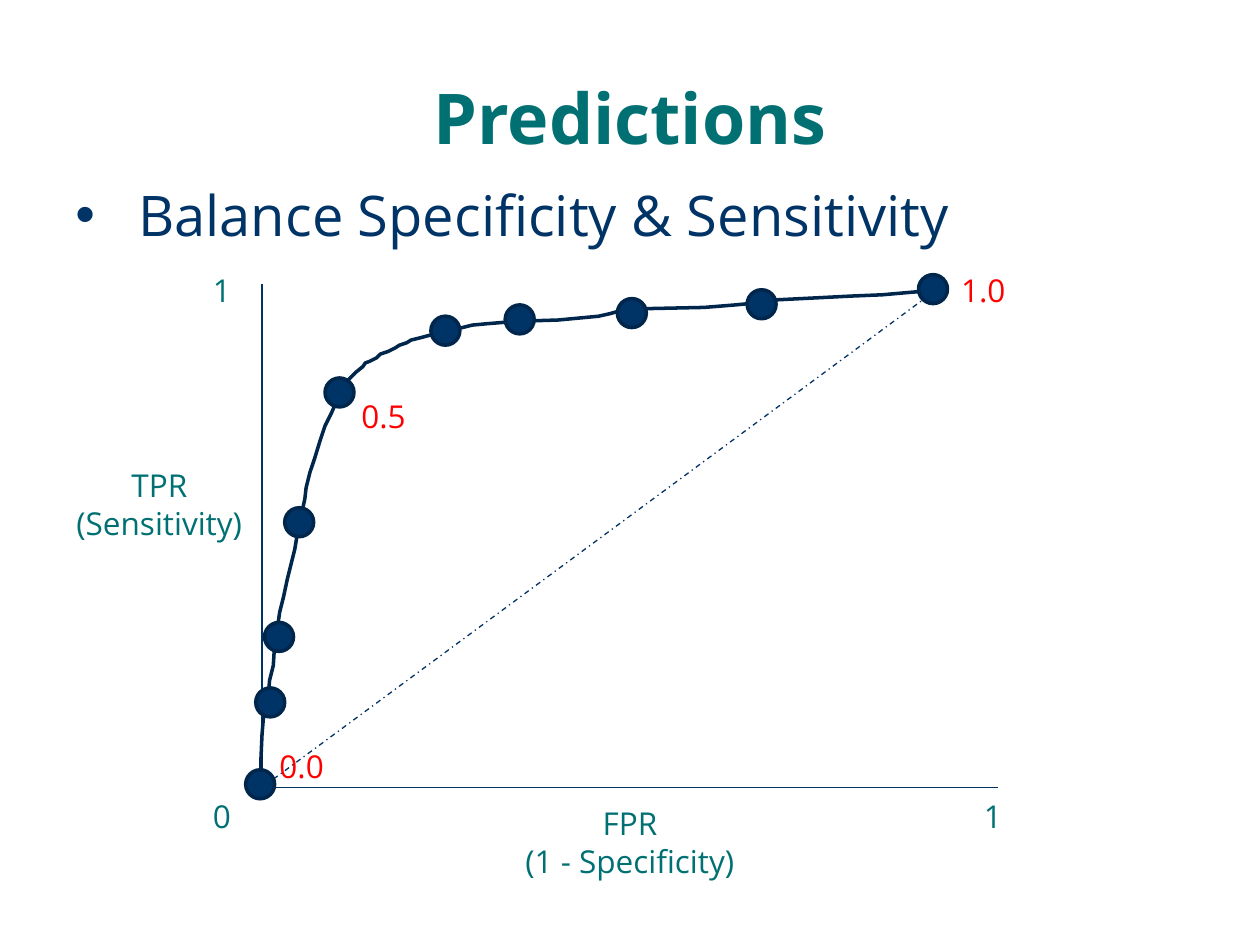
from dataclasses import dataclass

from lxml import etree
from pptx import Presentation
from pptx.dml.color import RGBColor
from pptx.enum.dml import MSO_LINE
from pptx.enum.shapes import MSO_CONNECTOR, MSO_SHAPE
from pptx.enum.text import MSO_ANCHOR, MSO_AUTO_SIZE, PP_ALIGN
from pptx.oxml.ns import qn
from pptx.util import Inches, Pt

STRAIGHT = MSO_CONNECTOR.STRAIGHT
OVAL = MSO_SHAPE.OVAL
DASH_DOT = MSO_LINE.DASH_DOT
LEFT, CENTER = PP_ALIGN.LEFT, PP_ALIGN.CENTER
TOP, MIDDLE = MSO_ANCHOR.TOP, MSO_ANCHOR.MIDDLE
FIT_SHAPE, NO_FIT = MSO_AUTO_SIZE.SHAPE_TO_FIT_TEXT, MSO_AUTO_SIZE.NONE


@dataclass(frozen=True)
class Theme:
    font: str = "Open Sans"
    teal: RGBColor = RGBColor(0x00, 0x70, 0x73)
    navy: RGBColor = RGBColor(0x00, 0x33, 0x66)
    axis: RGBColor = RGBColor(0x00, 0x32, 0x64)
    curve: RGBColor = RGBColor(0x00, 0x26, 0x4B)
    red: RGBColor = RGBColor(0xFF, 0x00, 0x00)
    title_size: float = 40
    body_size: float = 32
    label_size: float = 18
    thin: float = 0.75
    thick: float = 2


def write_text(frame, text, *, font, size, color, bold=False, align=LEFT, space_after=0):
    for index, line in enumerate(text.split("\n")):
        paragraph = frame.paragraphs[0] if index == 0 else frame.add_paragraph()
        paragraph.alignment = align
        paragraph.space_after = Pt(space_after)
        run = paragraph.add_run()
        run.text = line
        run.font.name = font
        run.font.size = Pt(size)
        run.font.bold = bold
        run.font.color.rgb = color


class SlideBuilder:
    def __init__(self, slide, theme):
        self.slide = slide
        self.theme = theme

    def text(self, box, text, *, wrap=False, anchor=TOP, **style):
        shape = self.slide.shapes.add_textbox(*map(Inches, box))
        frame = shape.text_frame
        frame.word_wrap = wrap
        frame.auto_size = NO_FIT if wrap else FIT_SHAPE
        frame.vertical_anchor = anchor
        write_text(frame, text, font=self.theme.font, **style)
        return shape

    def label(self, box, text, color, align=LEFT):
        self.text(box, text, size=self.theme.label_size, color=color, align=align)

    def bullet(self, box, text, indent):
        shape = self.text(box, text, wrap=True, size=self.theme.body_size,
                          color=self.theme.navy, space_after=6)
        for paragraph in shape.text_frame.paragraphs:
            properties = paragraph._p.get_or_add_pPr()
            properties.set("marL", str(Inches(indent)))
            properties.set("indent", str(-Inches(indent)))
            etree.SubElement(properties, qn("a:buFont")).set("typeface", "Arial")
            etree.SubElement(properties, qn("a:buChar")).set("char", "•")

    def line(self, start, end, dash=None):
        connector = self.slide.shapes.add_connector(STRAIGHT, *map(Inches, start + end))
        connector.line.color.rgb = self.theme.axis
        connector.line.width = Pt(self.theme.thin)
        if dash is not None:
            connector.line.dash_style = dash
        etree.SubElement(connector._element.spPr, qn("a:effectLst"))

    def outline(self, shape):
        shape.shadow.inherit = False
        shape.line.color.rgb = self.theme.curve
        shape.line.width = Pt(self.theme.thick)

    def curve(self, points):
        start, *rest = [(Inches(x), Inches(y)) for x, y in points]
        builder = self.slide.shapes.build_freeform(*start)
        builder.add_line_segments(rest, close=False)
        shape = builder.convert_to_shape()
        shape.fill.background()
        self.outline(shape)

    def marker(self, left, top, diameter=0.23):
        shape = self.slide.shapes.add_shape(
            OVAL, *map(Inches, (left, top, diameter, diameter)))
        shape.fill.solid()
        shape.fill.fore_color.rgb = self.theme.navy
        self.outline(shape)


ORIGIN = (2.08, 6.25)
CURVE_POINTS = [
    (2.07, 6.25), (2.07, 6.05), (2.08, 5.83), (2.09, 5.71), (2.11, 5.59),
    (2.13, 5.52), (2.14, 5.4), (2.17, 5.28), (2.18, 5.11), (2.2, 5),
    (2.22, 4.86), (2.25, 4.74), (2.28, 4.6), (2.3, 4.52), (2.34, 4.36),
    (2.36, 4.24), (2.38, 4.17), (2.4, 4.05), (2.42, 3.96), (2.43, 3.87),
    (2.46, 3.75), (2.5, 3.63), (2.54, 3.5), (2.58, 3.38), (2.61, 3.32),
    (2.63, 3.28), (2.67, 3.19), (2.7, 3.12), (2.75, 3.03), (2.78, 3),
    (2.83, 2.95), (2.88, 2.91), (2.9, 2.88), (2.93, 2.87), (2.99, 2.84),
    (3.02, 2.81), (3.08, 2.79), (3.14, 2.76), (3.17, 2.74), (3.23, 2.72),
    (3.26, 2.7), (3.34, 2.68), (3.45, 2.65), (3.56, 2.62), (3.67, 2.6),
    (3.75, 2.58), (3.86, 2.57), (4.1, 2.55), (4.43, 2.54), (4.75, 2.51),
    (4.84, 2.49), (4.91, 2.47), (5.11, 2.45), (5.59, 2.44), (5.84, 2.42),
    (6.04, 2.4), (6.16, 2.38), (6.56, 2.36), (6.75, 2.35), (7, 2.34),
    (7.23, 2.32), (7.35, 2.31), (7.43, 2.3),
]
MARKERS = [
    (2.03, 5.46), (2.1, 4.94), (2.26, 4.03), (2.58, 3), (3.42, 2.51),
    (4.01, 2.42), (4.9, 2.37), (5.93, 2.3), (7.29, 2.18), (1.95, 6.11),
]
THRESHOLDS = [("0.0", 2.12, 5.88), ("1.0", 7.53, 2.1), ("0.5", 2.77, 3.1)]
AXIS_ENDS = [("0", 1.59, 6.28), ("1", 1.59, 2.1), ("1", 7.71, 6.28)]


def main():
    presentation = Presentation()
    presentation.slide_width = Inches(10)
    presentation.slide_height = Inches(7.5)
    theme = Theme()
    builder = SlideBuilder(
        presentation.slides.add_slide(presentation.slide_layouts[6]), theme)

    builder.text((0.5, 0.3, 9, 1.25), "Predictions", wrap=True, anchor=MIDDLE,
                 size=theme.title_size, color=theme.teal, bold=True, align=CENTER)
    builder.bullet((0.5, 1.38, 9, 4.83), "Balance Specificity & Sensitivity", 0.5)

    builder.line(ORIGIN, (2.08, 2.25))
    builder.line(ORIGIN, (7.92, 6.25))
    builder.label((0.5, 3.65, 1.53, 0.71), "TPR\n(Sensitivity)", theme.teal, CENTER)
    builder.label((4.06, 6.33, 1.88, 0.71), "FPR\n(1 - Specificity)", theme.teal, CENTER)
    builder.line(ORIGIN, (7.5, 2.25), DASH_DOT)

    builder.curve(CURVE_POINTS)
    for left, top in MARKERS:
        builder.marker(left, top)
    for text, left, top in THRESHOLDS:
        builder.label((left, top, 0.56, 0.4), text, theme.red)
    for text, left, top in AXIS_ENDS:
        builder.label((left, top, 0.35, 0.4), text, theme.teal)

    presentation.save("out.pptx")


if __name__ == "__main__":
    main()
